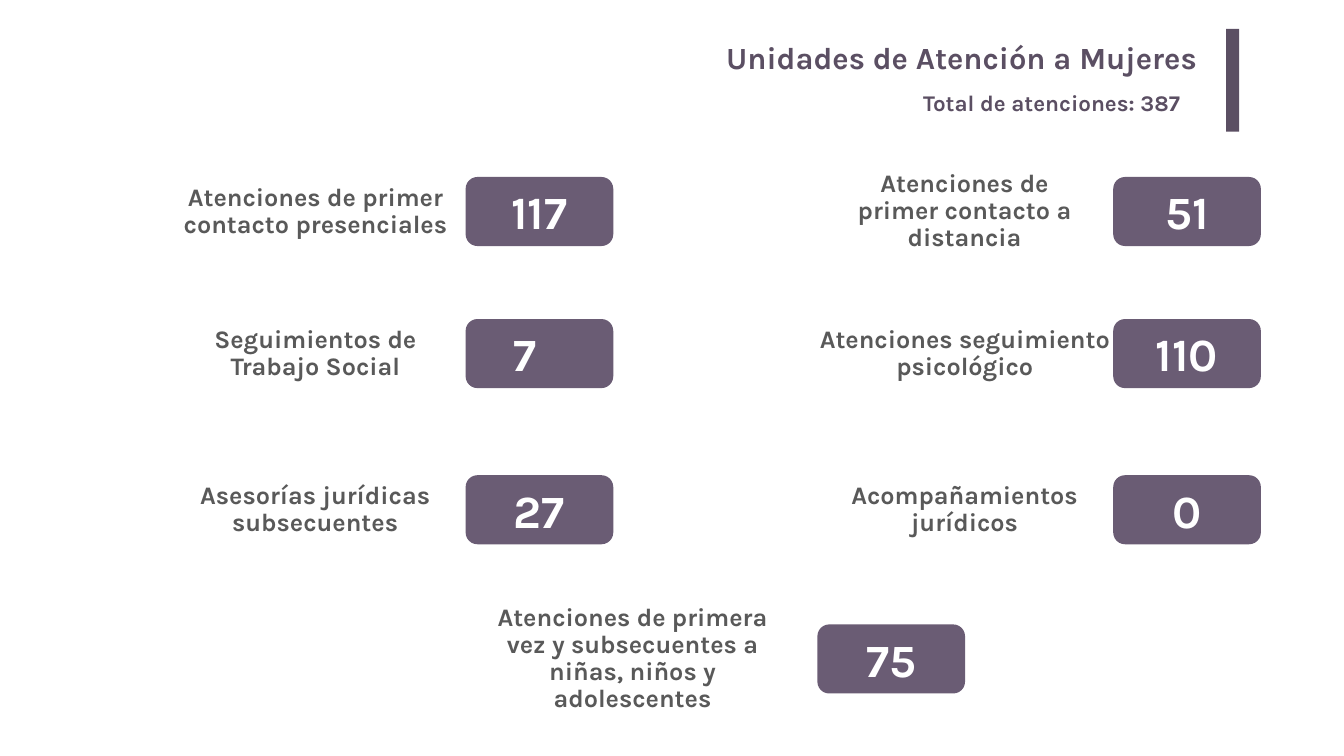
import dataclasses

import pptx
import pptx.dml.color
import pptx.enum.shapes
import pptx.enum.text
import pptx.util

Cm = pptx.util.Cm
Pt = pptx.util.Pt
RGBColor = pptx.dml.color.RGBColor
Align = pptx.enum.text.PP_ALIGN
Anchor = pptx.enum.text.MSO_ANCHOR
AutoSize = pptx.enum.text.MSO_AUTO_SIZE
Preset = pptx.enum.shapes.MSO_SHAPE


@dataclasses.dataclass(frozen=True)
class Theme:
    font: str = "Karla"
    heading: str = "5B4F63"
    pill: str = "6A5C74"
    label: str = "595959"
    number: str = "FFFFFF"
    title_size: int = 44
    total_size: int = 32
    label_size: int = 36
    number_size: int = 66


THEME = Theme()

# Pill and number sizes, in centimetres
PILL_WIDTH, PILL_HEIGHT = 7.44, 3.48
NUMBER_WIDTH, NUMBER_HEIGHT = 5.18, 3.07
NUMBER_INDENT = 1.12
LEFT, RIGHT = 23.47, 56.11
ROWS = (8.92, 16.08, 23.95)

# Pill left and top, value, label, label box (left, width, height)
INDICATORS = [
    (LEFT, ROWS[0], "117", "Atenciones de primer contacto presenciales", (8.94, 13.92, 3.48)),
    (RIGHT, ROWS[0], "51", "Atenciones de primer contacto a distancia", (42.06, 13.11, 3.07)),
    (LEFT, ROWS[1], "7", "Seguimientos de Trabajo Social", (8.81, 14.17, 3.58)),
    (RIGHT, ROWS[1], "110", "Atenciones seguimiento psicológico", (38.71, 19.84, 1.35)),
    (LEFT, ROWS[2], "27", "Asesorías jurídicas subsecuentes", (8.2, 15.37, 2.03)),
    (RIGHT, ROWS[2], "0", "Acompañamientos jurídicos", (40.41, 16.41, 1.63)),
    (41.2, 31.47, "75", "Atenciones de primera vez y subsecuentes a niñas, niños y adolescentes",
     (24.26, 15.24, 1.24)),
]


def add_block(slide, preset, box, color):
    shape = slide.shapes.add_shape(preset, *map(Cm, box))
    shape.shadow.inherit = False
    shape.fill.solid()
    shape.fill.fore_color.rgb = RGBColor.from_string(color)
    shape.line.fill.background()
    return shape


def add_text(slide, box, text, size, color, align, anchor=Anchor.TOP,
             margins=(0.25, 0.13), line_spacing=None, grow=False):
    frame = slide.shapes.add_textbox(*map(Cm, box)).text_frame
    frame.word_wrap = True
    frame.auto_size = AutoSize.SHAPE_TO_FIT_TEXT if grow else AutoSize.NONE
    frame.vertical_anchor = anchor
    frame.margin_left = frame.margin_right = Cm(margins[0])
    frame.margin_top = frame.margin_bottom = Cm(margins[1])
    paragraph = frame.paragraphs[0]
    paragraph.alignment = align
    paragraph.line_spacing = line_spacing
    run = paragraph.add_run()
    run.text = text
    run.font.name = THEME.font
    run.font.size = Pt(size)
    run.font.bold = True
    run.font.color.rgb = RGBColor.from_string(color)
    return frame


def add_header(slide):
    add_text(slide, (9.3, 1.7, 51.56, 2.59), "Unidades de Atención a Mujeres",
             THEME.title_size, THEME.heading, Align.RIGHT, margins=(0.51, 0.25))
    add_block(slide, Preset.RECTANGLE, (61.8, 1.45, 0.66, 5.18), THEME.heading)
    add_text(slide, (46.28, 4.34, 15.04, 1.63), "Total de atenciones: 387",
             THEME.total_size, THEME.heading, Align.LEFT, grow=True)


def add_indicator(slide, left, top, value, label, label_box):
    # Label, centred on the height of its pill
    label_left, label_width, label_height = label_box
    label_top = top + (PILL_HEIGHT - label_height) / 2
    add_text(slide, (label_left, label_top, label_width, label_height), label,
             THEME.label_size, THEME.label, Align.CENTER, Anchor.MIDDLE, line_spacing=0.9)

    # Pill
    pill = add_block(slide, Preset.ROUNDED_RECTANGLE,
                     (left, top, PILL_WIDTH, PILL_HEIGHT), THEME.pill)
    pill.adjustments[0] = 0.17

    # Number
    number_top = top + (PILL_HEIGHT - NUMBER_HEIGHT) / 2
    frame = add_text(slide, (left + NUMBER_INDENT, number_top, NUMBER_WIDTH, NUMBER_HEIGHT),
                     value, THEME.number_size, THEME.number, Align.CENTER, grow=True)
    if value == "7":  # the single digit sits left of the centre
        frame.margin_right = Cm(1.68)


def main():
    presentation = pptx.Presentation()
    presentation.slide_width = Cm(67.74)
    presentation.slide_height = Cm(38.1)
    slide = presentation.slides.add_slide(presentation.slide_layouts[6])

    add_header(slide)
    for indicator in INDICATORS:
        add_indicator(slide, *indicator)

    presentation.save("out.pptx")


if __name__ == "__main__":
    main()
